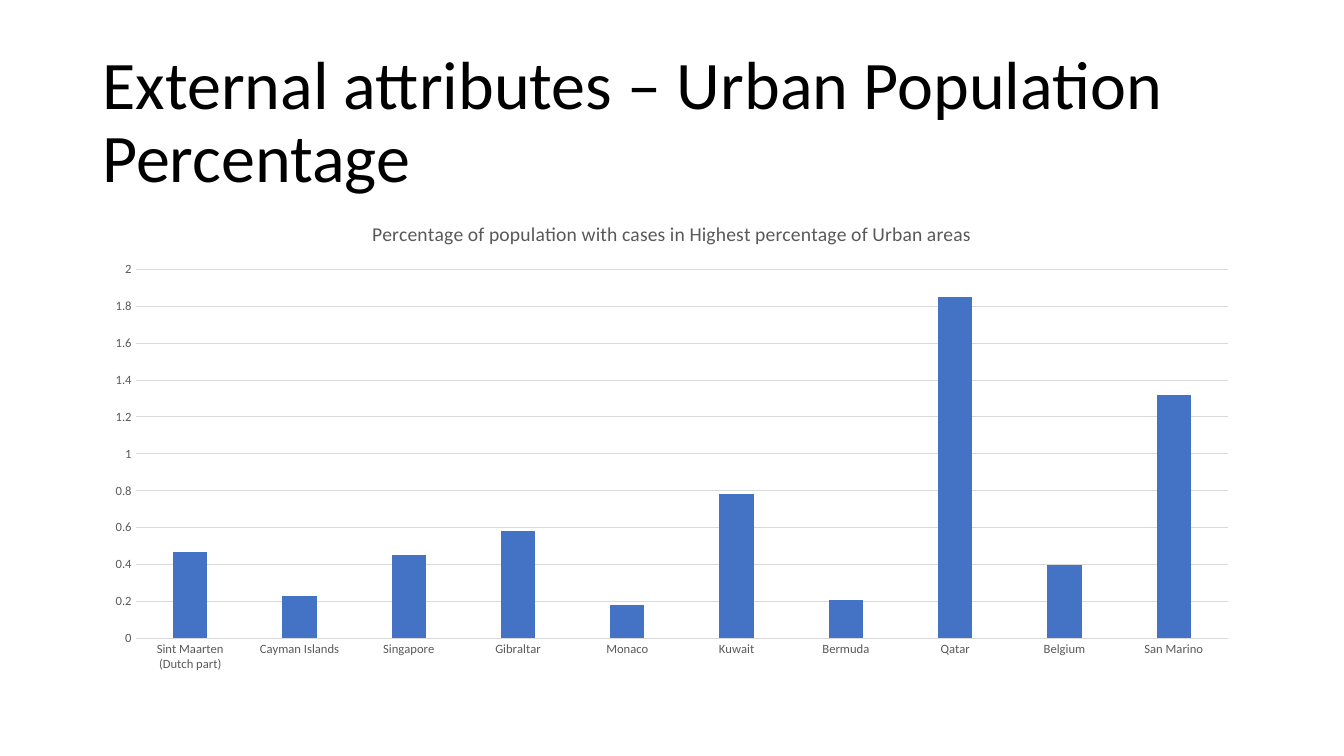
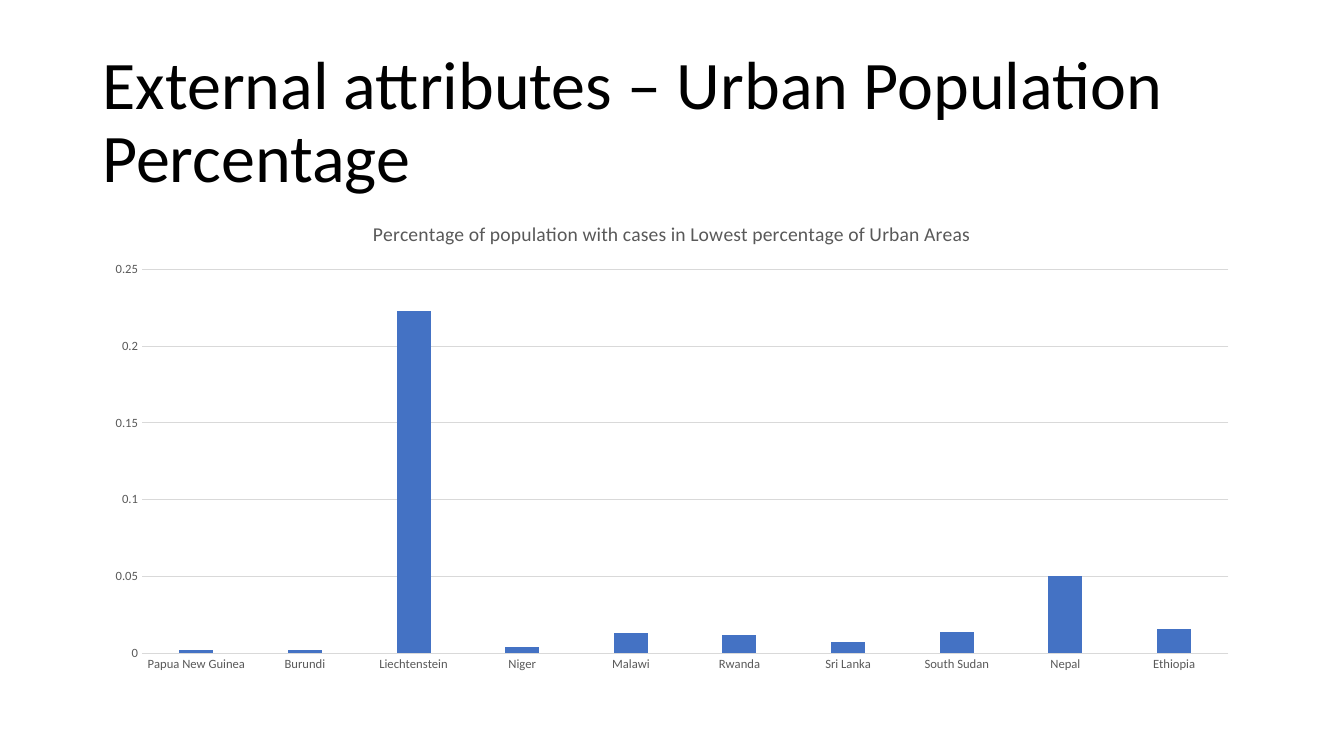
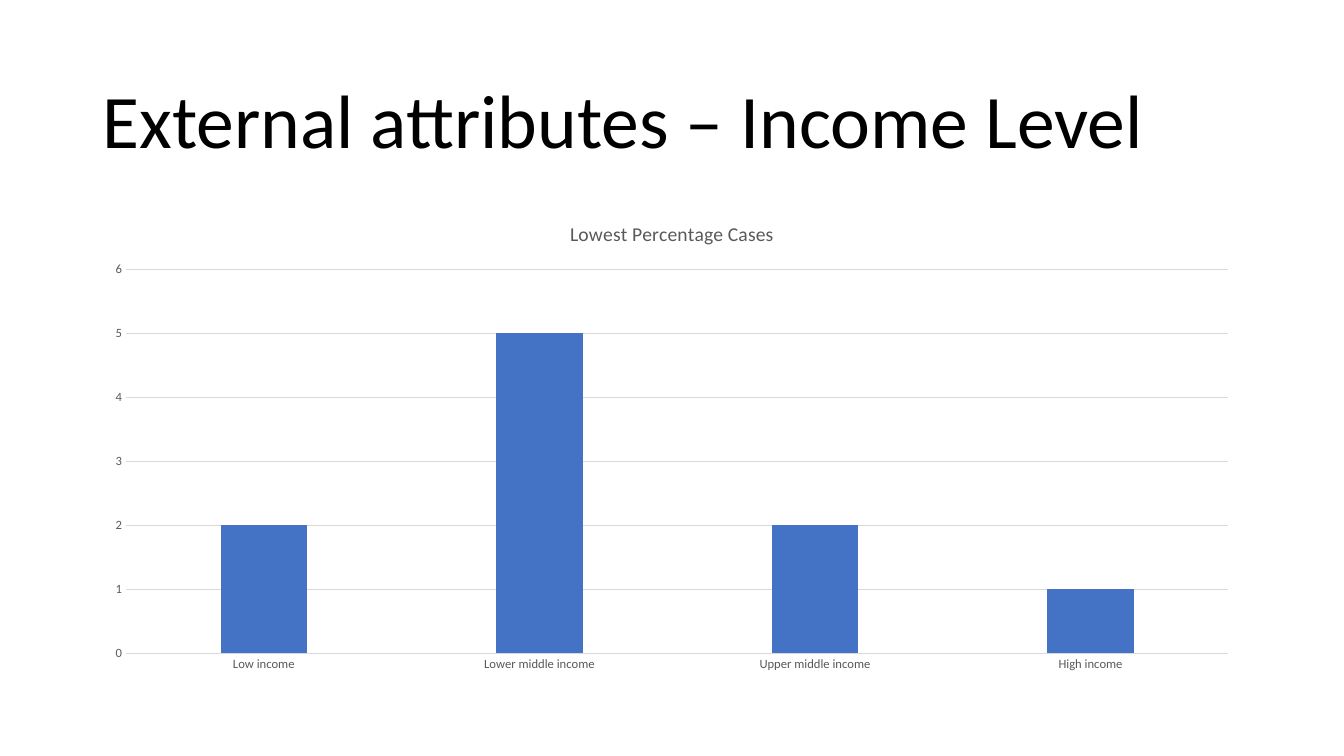
from dataclasses import dataclass

from pptx import Presentation
from pptx.chart.data import CategoryChartData
from pptx.dml.color import RGBColor as RGB
from pptx.enum.chart import XL_CHART_TYPE as ChartType, XL_TICK_MARK as Tick
from pptx.enum.text import MSO_ANCHOR as Anchor
from pptx.util import Cm, Pt


@dataclass(frozen=True)
class Theme:
    font: str = "Calibri"
    title_color: RGB = RGB(0, 0, 0)
    label_color: RGB = RGB(0x59, 0x59, 0x59)
    line_color: RGB = RGB(0xD9, 0xD9, 0xD9)
    bar_color: RGB = RGB(0x44, 0x72, 0xC4)
    title_size: float = 54
    long_title_size: float = 48.6
    chart_size: float = 10
    chart_title_size: float = 14
    axis_size: float = 9
    line_width: float = 0.75


THEME = Theme()
TITLE_BOX = Cm(2.33), Cm(1.55), Cm(29.21), Cm(3.15)
CHART_BOX = Cm(2.33), Cm(5.08), Cm(29.21), Cm(12.09)


def set_font(font, size, color):
    font.name = THEME.font
    font.size = Pt(size)
    font.color.rgb = color
    font.bold = False


def set_line(line):
    line.color.rgb = THEME.line_color
    line.width = Pt(THEME.line_width)


def add_title(s, box, text, size):
    tf = s.shapes.add_textbox(*box).text_frame
    tf.word_wrap = True
    tf.vertical_anchor = Anchor.MIDDLE
    p = tf.paragraphs[0]
    p.text = text
    p.line_spacing = 0.9
    set_font(p.font, size, THEME.title_color)


def add_columns(s, box, title, values):
    data = CategoryChartData()
    data.categories = list(values)
    data.add_series(title, list(values.values()))
    chart = s.shapes.add_chart(ChartType.COLUMN_CLUSTERED, *box, data).chart
    set_font(chart.font, THEME.chart_size, THEME.title_color)
    chart.has_legend = False

    chart.has_title = True
    chart.chart_title.include_in_layout = False
    p = chart.chart_title.text_frame.paragraphs[0]
    p.text = title
    set_font(p.font, THEME.chart_title_size, THEME.label_color)

    for axis in (chart.category_axis, chart.value_axis):
        axis.major_tick_mark = axis.minor_tick_mark = Tick.NONE
        set_font(axis.tick_labels.font, THEME.axis_size, THEME.label_color)
    set_line(chart.category_axis.format.line)
    chart.value_axis.format.line.fill.background()
    set_line(chart.value_axis.major_gridlines.format.line)

    plot = chart.plots[0]
    plot.vary_by_categories = False
    plot.gap_width = 219
    plot.overlap = -27
    fill = plot.series[0].format.fill
    fill.solid()
    fill.fore_color.rgb = THEME.bar_color


def add_chart_slide(prs, title, title_size, chart_title, values):
    s = prs.slides.add_slide(prs.slide_layouts[6])
    add_title(s, TITLE_BOX, title, title_size)
    add_columns(s, CHART_BOX, chart_title, values)


URBAN_TITLE = "External attributes – Urban Population Percentage"
HIGHEST_URBAN = {
    "Sint Maarten (Dutch part)": 0.47,
    "Cayman Islands": 0.23,
    "Singapore": 0.45,
    "Gibraltar": 0.58,
    "Monaco": 0.18,
    "Kuwait": 0.78,
    "Bermuda": 0.21,
    "Qatar": 1.85,
    "Belgium": 0.4,
    "San Marino": 1.32,
}
LOWEST_URBAN = {
    "Papua New Guinea": 0.002,
    "Burundi": 0.002,
    "Liechtenstein": 0.223,
    "Niger": 0.004,
    "Malawi": 0.013,
    "Rwanda": 0.012,
    "Sri Lanka": 0.007,
    "South Sudan": 0.014,
    "Nepal": 0.05,
    "Ethiopia": 0.016,
}
INCOME_LEVELS = {
    "Low income": 2,
    "Lower middle income": 5,
    "Upper middle income": 2,
    "High income": 1,
}

prs = Presentation()
prs.slide_width, prs.slide_height = Cm(33.87), Cm(19.05)
add_chart_slide(
    prs, URBAN_TITLE, THEME.long_title_size,
    "Percentage of population with cases in Highest percentage of Urban areas",
    HIGHEST_URBAN,
)
add_chart_slide(
    prs, URBAN_TITLE, THEME.long_title_size,
    "Percentage of population with cases in Lowest percentage of Urban Areas",
    LOWEST_URBAN,
)
add_chart_slide(
    prs, "External attributes – Income Level", THEME.title_size,
    "Lowest Percentage Cases", INCOME_LEVELS,
)
prs.save("out.pptx")
